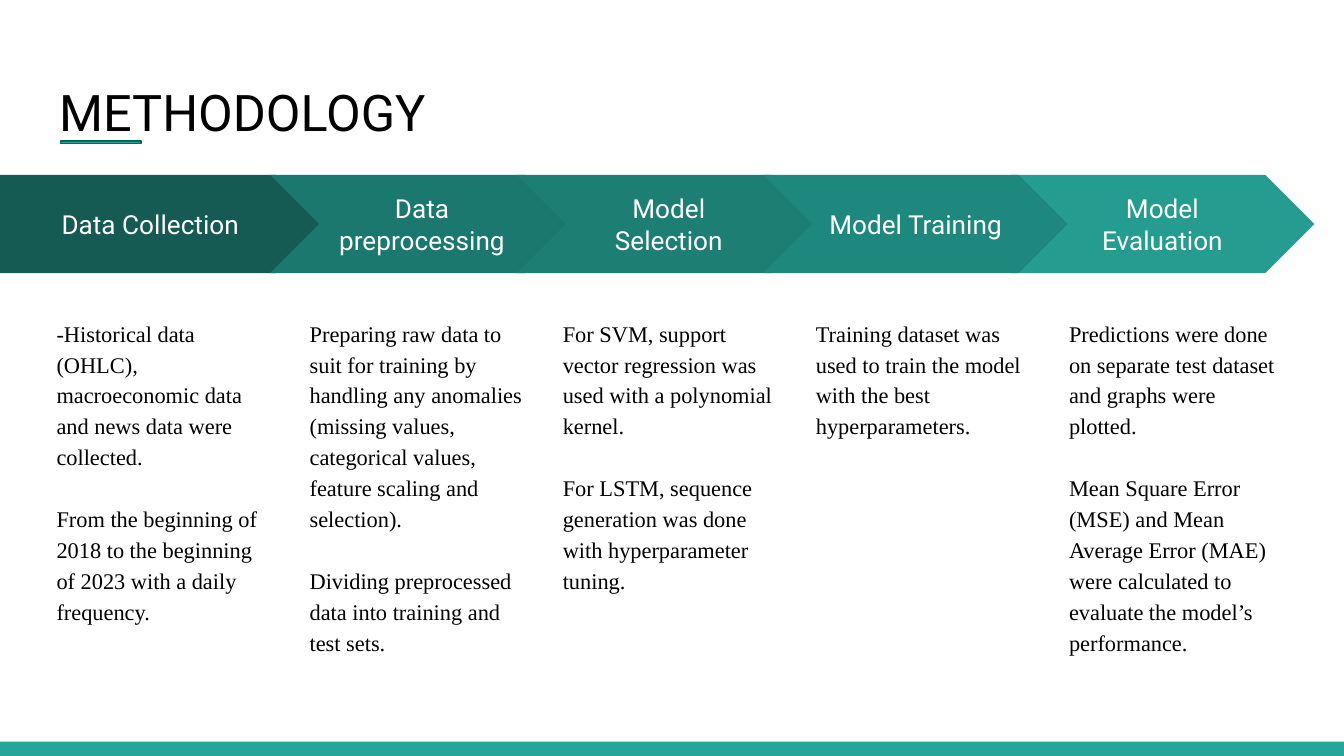
from pptx import Presentation
from pptx.dml.color import RGBColor
from pptx.enum import shapes, text
from pptx.util import Pt

HUES = {"teal": "26A69A", "edge": "00695C", "ink": "000000", "white": "FFFFFF"}
KINDS = shapes.MSO_SHAPE

# Steps in drawing order: column, heading, fill, notes
STEPS = [
    (0, "Data Collection", "155B54",
     ["-Historical data (OHLC), macroeconomic data and news data were collected.",
      "From the beginning of 2018 to the beginning of 2023 with a daily frequency."]),
    (1, "Data preprocessing", "1B786E",
     ["Preparing raw data to suit for training by handling any anomalies "
      "(missing values, categorical values, feature scaling and selection).",
      "Dividing preprocessed data into training and test sets."]),
    (2, "Model Selection", "1D7E74",
     ["For SVM, support vector regression was used with a polynomial kernel.",
      "For LSTM, sequence generation was done with hyperparameter tuning."]),
    (4, "Model Evaluation", "249C90",
     ["Predictions were done on separate test dataset and graphs were plotted.",
      "Mean Square Error (MSE) and Mean Average Error (MAE) were calculated "
      "to evaluate the model’s performance."]),
    (3, "Model Training", "1F887E",
     ["Training dataset was used to train the model with the best hyperparameters."]),
]

deck = Presentation()
deck.slide_width, deck.slide_height = Pt(720), Pt(405)
slide = deck.slides.add_slide(deck.slide_layouts[5])


def draw(kind, left, top, width, height, fill):
    shape = slide.shapes.add_shape(kind, Pt(left), Pt(top), Pt(width), Pt(height))
    shape.shadow.inherit = False
    shape.fill.solid()
    shape.fill.fore_color.rgb = RGBColor.from_string(fill)
    shape.line.fill.background()
    return shape


def style(frame, words, size, face, hue, align, anchor):
    frame.word_wrap = True
    frame.auto_size = text.MSO_AUTO_SIZE.NONE
    frame.vertical_anchor = anchor
    frame.margin_left = frame.margin_right = Pt(7.2)
    frame.margin_top = frame.margin_bottom = Pt(7.2)
    frame.text = "\n".join(words)
    for para in frame.paragraphs:
        para.alignment = align
        para.font.size, para.font.name = Pt(size), face
        para.font.color.rgb = RGBColor.from_string(HUES[hue])


# Bottom bar and title rule
draw(KINDS.RECTANGLE, 0, 397.4, 720, 7.6, HUES["teal"])
rule = draw(KINDS.RECTANGLE, 32.4, 75.5, 43.2, 1.6, HUES["teal"])
rule.line.color.rgb = RGBColor.from_string(HUES["edge"])
rule.line.width = Pt(0.75)

# Title
title = slide.shapes.title
title.left, title.top, title.width, title.height = Pt(24.5), Pt(35), Pt(671), Pt(48.2)
style(title.text_frame, ["METHODOLOGY"], 27, "Roboto", "ink",
      text.PP_ALIGN.LEFT, text.MSO_ANCHOR.BOTTOM)

# Process arrows with notes below
for col, head, fill, notes in STEPS:
    if col == 0:
        arrow = draw(KINDS.PENTAGON, 0, 93.7, 174.2, 52.6, fill)
    else:
        arrow = draw(KINDS.CHEVRON, 12.5 + 132.2 * col, 93.7, 162.8, 52.6, fill)
    style(arrow.text_frame, [head], 14, "Roboto", "white",
          text.PP_ALIGN.CENTER, text.MSO_ANCHOR.MIDDLE)

    box = slide.shapes.add_textbox(Pt(23.2 + 135.6 * col), Pt(162), Pt(128.2), Pt(185))
    style(box.text_frame, notes, 12, "Times New Roman", "ink",
          text.PP_ALIGN.LEFT, text.MSO_ANCHOR.TOP)
    for row, para in enumerate(box.text_frame.paragraphs):
        para.line_spacing = 1.15
        para.space_before = Pt(16.5 if row else 0)

deck.save("out.pptx")
